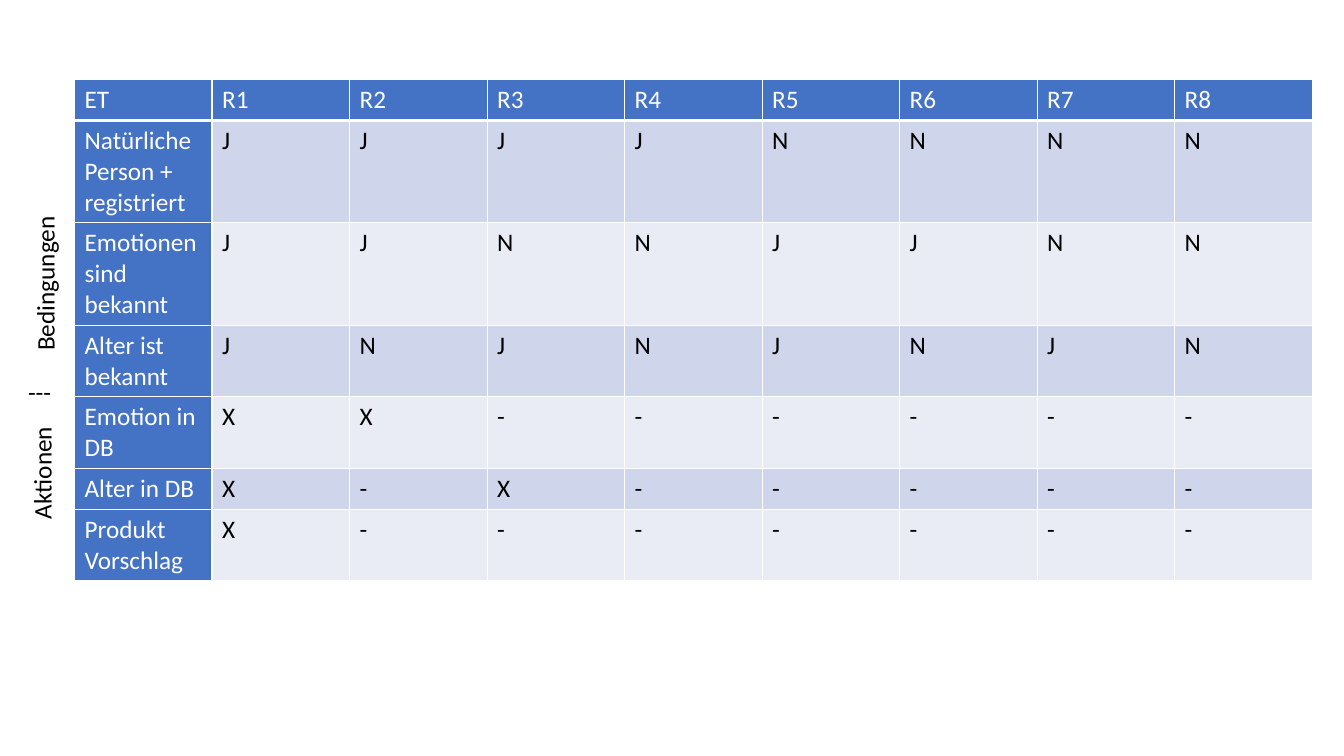
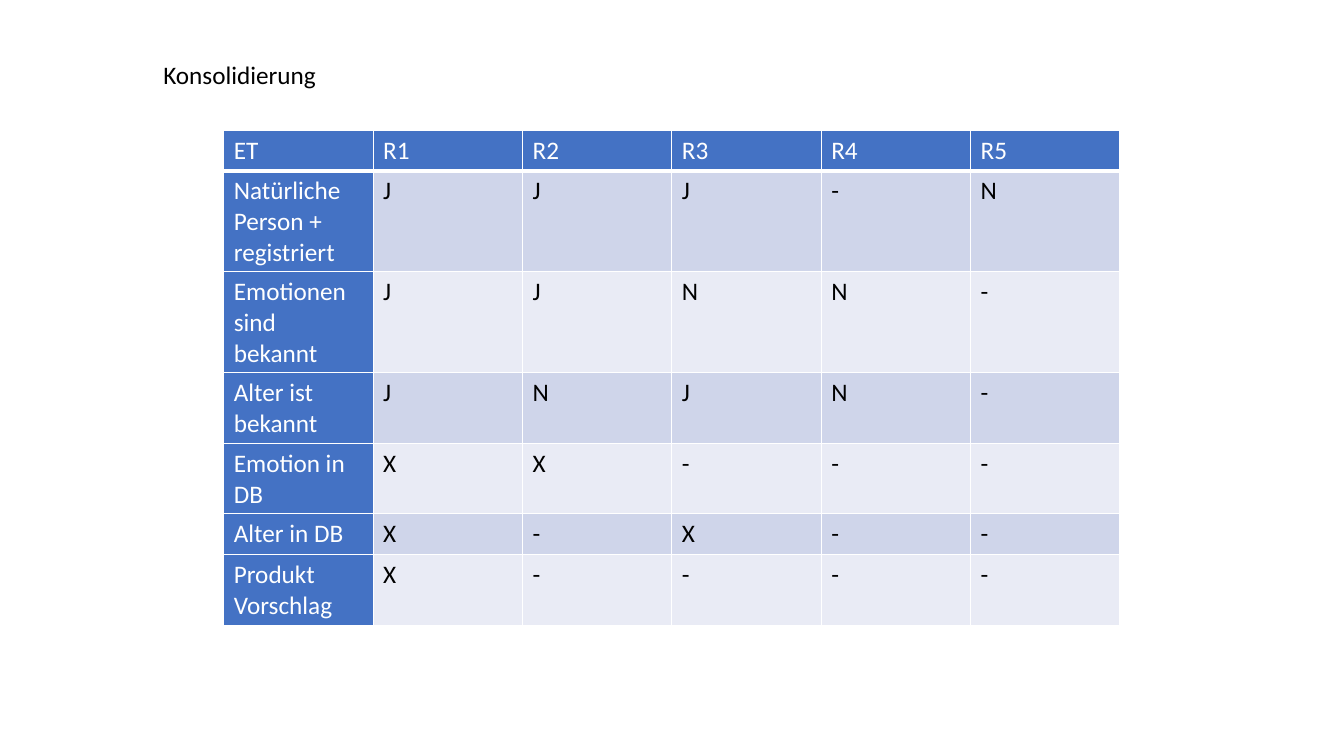
import dataclasses
import typing

import lxml.etree
import pptx
import pptx.dml.color
import pptx.enum.text
import pptx.oxml.ns
import pptx.util

HUES = {"head": "4472C4", "odd": "CFD5EA", "even": "E9EBF5",
        "light": "FFFFFF", "dark": "000000"}
FONT = {"name": "Calibri", "size": pptx.util.Pt(18), "bold": False}
FRAME = {"word_wrap": False,
         "auto_size": pptx.enum.text.MSO_AUTO_SIZE.SHAPE_TO_FIT_TEXT,
         "vertical_anchor": pptx.enum.text.MSO_ANCHOR.TOP,
         "margin_left": pptx.util.Inches(0.1),
         "margin_right": pptx.util.Inches(0.1),
         "margin_top": pptx.util.Inches(0.05),
         "margin_bottom": pptx.util.Inches(0.05)}
WIDE, HIGH = pptx.util.Inches(13.33), pptx.util.Inches(7.5)
ROW = 5.41  # height of one text line with its margins, percent of the slide
TERMS = ("Natürliche Person + registriert", "Emotionen sind bekannt",
         "Alter ist bekannt", "Emotion in DB", "Alter in DB",
         "Produkt Vorschlag")


@dataclasses.dataclass
class Label:
    """A one-line text; left, top and width are percent of the slide."""
    text: str
    left: float
    top: float
    width: float
    turn: int = 0


@dataclasses.dataclass
class Grid:
    """A decision table; each mark string holds one row of rule values."""
    left: float
    top: float
    width: float
    marks: typing.Sequence[str]


def across(share: float) -> int:
    """Turn a percentage of the slide width into a length."""
    return round(WIDE * share / 100)


def down(share: float) -> int:
    """Turn a percentage of the slide height into a length."""
    return round(HIGH * share / 100)


def tint(name: str) -> pptx.dml.color.RGBColor:
    """Look up a named colour."""
    return pptx.dml.color.RGBColor.from_string(HUES[name])


def apply(item: typing.Any, form: dict[str, typing.Any]) -> None:
    """Set the format values on an object."""
    for key, value in form.items():
        setattr(item, key, value)


def write(frame: typing.Any, text: str, hue: str) -> None:
    """Write left-aligned text in the shared font."""
    line = frame.paragraphs[0]
    line.alignment = pptx.enum.text.PP_ALIGN.LEFT
    line.line_spacing = 1.0
    run = line.add_run()
    run.text = text
    apply(run.font, FONT)
    run.font.color.rgb = tint(hue)


def set_label(shape: typing.Any, label: Label) -> None:
    """Place, format and fill a text shape."""
    apply(shape, {"left": across(label.left), "top": down(label.top),
                  "width": across(label.width), "height": down(ROW),
                  "rotation": label.turn})
    apply(shape.text_frame, FRAME)
    write(shape.text_frame, label.text, "dark")


def add_label(slide: typing.Any, label: Label) -> None:
    """Add a text box for a label."""
    set_label(slide.shapes.add_textbox(0, 0, 0, 0), label)


def edge(cell: typing.Any, base: float) -> None:
    """Draw the white cell borders, with the given bottom width in points."""
    props = cell._tc.get_or_add_tcPr()
    sides = {"lnL": 1, "lnR": 1, "lnT": 1, "lnB": base}
    for place, (side, width) in enumerate(sides.items()):
        line = lxml.etree.Element(pptx.oxml.ns.qn("a:" + side),
                                  w=str(pptx.util.Pt(width)))
        fill = lxml.etree.SubElement(line, pptx.oxml.ns.qn("a:solidFill"))
        lxml.etree.SubElement(fill, pptx.oxml.ns.qn("a:srgbClr"),
                              val=HUES["light"])
        props.insert(place, line)


def add_grid(slide: typing.Any, grid: Grid) -> None:
    """Add a decision table with head row, head column and banded rows."""
    rules = len(grid.marks[0])
    rows = [["ET", *(f"R{i + 1}" for i in range(rules))]]
    rows += [[term, *marks] for term, marks in zip(TERMS, grid.marks)]
    table = slide.shapes.add_table(
        len(rows), rules + 1, across(grid.left), down(grid.top),
        across(grid.width), down(ROW * len(rows))).table
    table.first_col = True
    for r, row in enumerate(rows):
        for c, text in enumerate(row):
            cell = table.cell(r, c)
            head = r == 0 or c == 0
            band = "odd" if r % 2 else "even"
            cell.fill.solid()
            cell.fill.fore_color.rgb = tint("head" if head else band)
            edge(cell, 1 if r else 3)
            write(cell.text_frame, text, "light" if head else "dark")


def add_full(deck: typing.Any) -> None:
    """Build the full decision table with its side labels."""
    slide = deck.slides.add_slide(deck.slide_layouts.get_by_name("Blank"))
    add_grid(slide, Grid(5.55, 10.53, 92.1, (
        "JJJJNNNN", "JJNNJJNN", "JNJNJNJN",
        "XX------", "X-X-----", "X-------")))
    for label in (Label("Bedingungen", -2.48, 34.67, 11.63, 270),
                  Label("Aktionen", -1.13, 59.73, 8.48, 270),
                  Label("---", 1.35, 49.07, 3.23)):
        add_label(slide, label)


def add_short(deck: typing.Any) -> None:
    """Build the consolidated decision table with its title."""
    slide = deck.slides.add_slide(deck.slide_layouts.get_by_name("Title Only"))
    set_label(slide.shapes.title, Label("Konsolidierung", 11.4, 7.2, 12.98))
    add_grid(slide, Grid(16.65, 17.2, 66.69, (
        "JJJ-N", "JJNN-", "JNJN-", "XX---", "X-X--", "X----")))


def main() -> None:
    """Build and save the deck."""
    deck = pptx.Presentation()
    apply(deck, {"slide_width": WIDE, "slide_height": HIGH})
    add_full(deck)
    add_short(deck)
    deck.save("out.pptx")


main()
